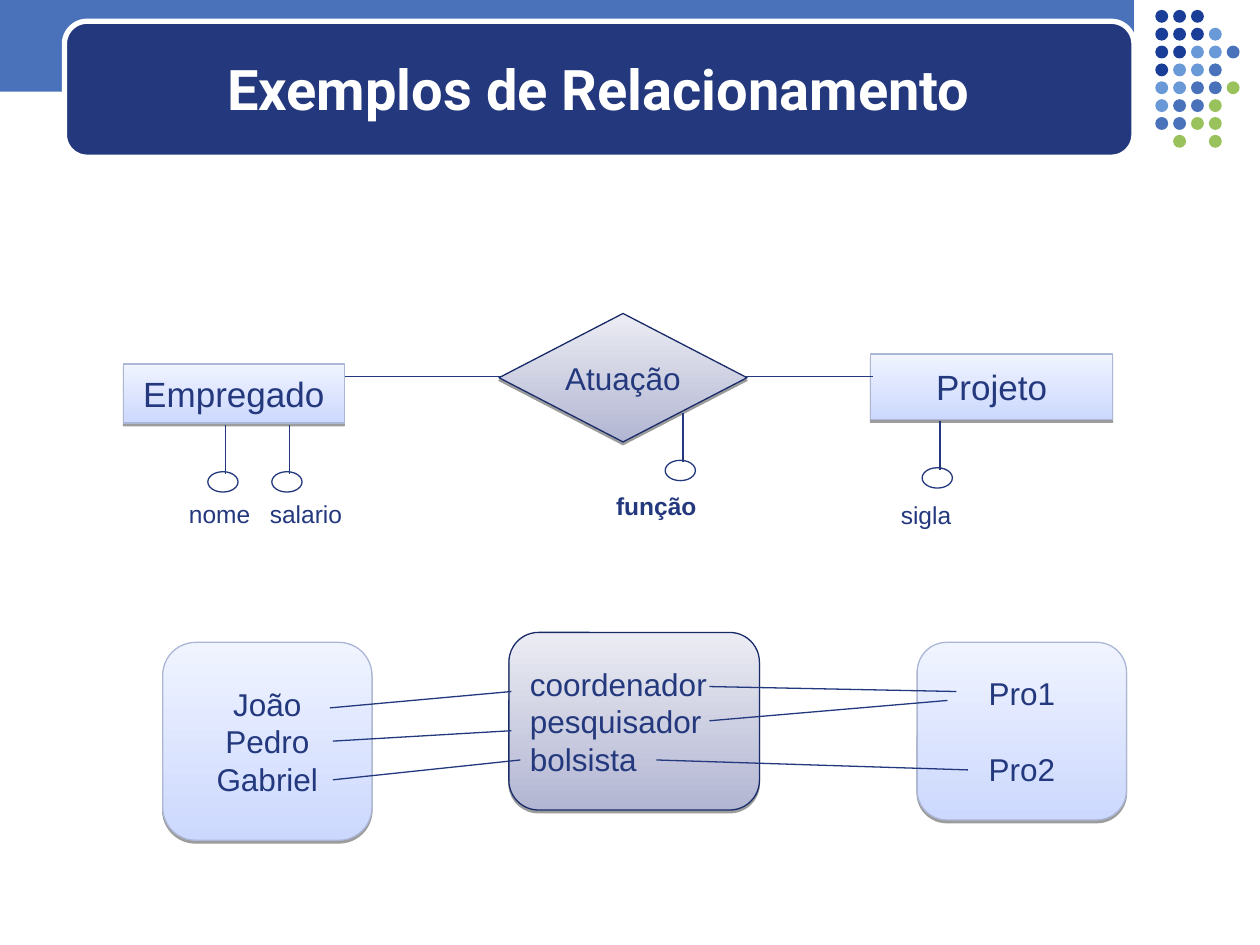
from lxml import etree
from pptx import Presentation
from pptx import util as u
from pptx.dml.color import RGBColor
from pptx.enum import shapes, text
from pptx.oxml import ns

Cm, Pt = u.Cm, u.Pt
MSO = shapes.MSO_SHAPE
CENTER, LEFT = text.PP_ALIGN.CENTER, text.PP_ALIGN.LEFT

NAVY = RGBColor(0x23, 0x38, 0x7D)
BLUE = RGBColor(0x49, 0x72, 0xBB)
DEEP = RGBColor(0x1A, 0x3D, 0x97)
LIGHT = RGBColor(0x6A, 0x99, 0xD8)
GREEN = RGBColor(0x99, 0xC2, 0x5C)
WHITE = RGBColor(0xFF, 0xFF, 0xFF)
BLACK = RGBColor(0, 0, 0)
ENTITY = (RGBColor(0xCC, 0xD8, 0xFE), RGBColor(0xF0, 0xF4, 0xFF), RGBColor(0xAC, 0xB7, 0xD6))
RELATION = (RGBColor(0xB2, 0xB6, 0xD2), RGBColor(0xEB, 0xEC, 0xF3), RGBColor(0x19, 0x2C, 0x69))

TITLE = "Exemplos de Relacionamento"
DOT_COLORS = {"D": DEEP, "L": LIGHT, "B": BLUE, "G": GREEN}
DOT_ROWS = ["DDD", "DDDL", "DDLLB", "DLLB", "LLBBG", "LBBG", "BBGG", ".G.G"]
DOT_LEFT, DOT_TOP, DOT_STEP, DOT_SIZE = 23.29, 0.2, 0.36, 0.26

BOXES = [
    (MSO.RECTANGLE, (2.49, 7.34, 4.45, 1.19), ENTITY, ["Empregado"], 20, CENTER, 0),
    (MSO.RECTANGLE, (17.55, 7.14, 4.88, 1.32), ENTITY, ["Projeto"], 20, CENTER, 0),
    (MSO.FLOWCHART_DECISION, (10.06, 6.32, 5, 2.59), RELATION, ["Atuação"], 18, CENTER, 0),
    (MSO.ROUNDED_RECTANGLE, (3.28, 12.95, 4.22, 3.99), ENTITY,
     ["João", "Pedro", "Gabriel"], 18, CENTER, 0),
    (MSO.ROUNDED_RECTANGLE, (18.49, 12.95, 4.22, 3.58), ENTITY,
     ["Pro1", "Pro2"], 18, CENTER, 21.7),
    (MSO.ROUNDED_RECTANGLE, (10.26, 12.75, 5.05, 3.58), RELATION,
     ["coordenador", "pesquisador", "bolsista"], 18, LEFT, 0),
]
ATTRIBUTES = [
    ("função", (13.77, 8.33), (12.17, 9.78), True),
    ("nome", (4.55, 8.56), (3.56, 9.93), False),
    ("salario", (5.84, 8.56), (5.19, 9.93), False),
    ("sigla", (18.95, 8.48), (17.91, 9.96), False),
]
LINKS = [
    (6.96, 7.59, 10.13, 7.59), (15.01, 7.59, 17.6, 7.59),
    (6.65, 14.27, 10.31, 13.94), (6.71, 14.94, 10.31, 14.73), (6.71, 15.72, 10.49, 15.32),
    (19.28, 13.94, 14.3, 13.84), (19.1, 14.12, 14.3, 14.53), (13.23, 15.32, 19.51, 15.52),
]


def add_shape(kind, box, fill=None, line=None, width=0.75):
    sp = s.shapes.add_shape(kind, *map(Cm, box))
    sp.shadow.inherit = False
    if fill is None:
        sp.fill.background()
    else:
        sp.fill.solid()
        sp.fill.fore_color.rgb = fill
    if line is None:
        sp.line.fill.background()
    else:
        sp.line.color.rgb = line
        sp.line.width = Pt(width)
    return sp


def add_gradient(sp, bottom, top):
    sp.fill.gradient()
    sp.fill.gradient_angle = 90
    for stop, color in zip(sp.fill.gradient_stops, (bottom, top)):
        stop.color.rgb = color


def add_drop_shadow(sp):
    effects = sp._element.spPr.find(ns.qn("a:effectLst"))
    shadow = etree.SubElement(effects, ns.qn("a:outerShdw"), dist=str(Pt(1.6)),
                              dir="5400000", rotWithShape="0")
    color = etree.SubElement(shadow, ns.qn("a:srgbClr"), val=str(BLACK))
    etree.SubElement(color, ns.qn("a:alpha"), val="38000")


def add_line(x1, y1, x2, y2):
    c = s.shapes.add_connector(shapes.MSO_CONNECTOR.STRAIGHT, *map(Cm, (x1, y1, x2, y2)))
    c.line.color.rgb = NAVY
    c.line.width = Pt(0.75)
    etree.SubElement(c._element.spPr, ns.qn("a:effectLst"))


def write(sp, lines, size, align=LEFT, font="Arial", color=NAVY, bold=False, gap=0, wrap=True):
    tf = sp.text_frame
    tf.word_wrap = wrap
    for i, line in enumerate(lines):
        p = tf.paragraphs[0] if i == 0 else tf.add_paragraph()
        p.text = line
        p.alignment = align
        p.space_before = Pt(gap if i else 0)
        p.font.name, p.font.size, p.font.bold = font, Pt(size), bold
        p.font.color.rgb = color


prs = Presentation()
prs.slide_width, prs.slide_height = Cm(25.4), Cm(19.05)
s = prs.slides.add_slide(prs.slide_layouts[6])

add_shape(MSO.RECTANGLE, (0, -0.08, 22.86, 1.93), BLUE)
add_shape(MSO.ROUNDED_RECTANGLE, (1.3, 0.43, 21.56, 2.74), NAVY, WHITE, 3)
for row, codes in enumerate(DOT_ROWS):
    for col, code in enumerate(codes):
        if code in DOT_COLORS:
            add_shape(MSO.OVAL, (DOT_LEFT + col * DOT_STEP, DOT_TOP + row * DOT_STEP,
                                 DOT_SIZE, DOT_SIZE), DOT_COLORS[code])

title = s.shapes.add_textbox(*map(Cm, (1.52, 0.58, 21.11, 2.39)))
title.text_frame.vertical_anchor = text.MSO_ANCHOR.MIDDLE
write(title, [TITLE], 32, CENTER, "Roboto", WHITE, True)

for kind, box, (bottom, top, edge), lines, size, align, gap in BOXES:
    sp = add_shape(kind, box, top, edge)
    add_gradient(sp, bottom, top)
    add_drop_shadow(sp)
    sp.text_frame.vertical_anchor = text.MSO_ANCHOR.MIDDLE
    write(sp, lines, size, align, gap=gap, wrap=align == LEFT)

for name, (x, y), (left, top), bold in ATTRIBUTES:
    add_line(x, y, x, y + 0.99)
    add_shape(MSO.OVAL, (x - 0.36, y + 0.95, 0.61, 0.41), line=NAVY)
    label = s.shapes.add_textbox(*map(Cm, (left, top, 2.2, 0.86)))
    write(label, [name], 14, bold=bold)

for link in LINKS:
    add_line(*link)

prs.save("out.pptx")
